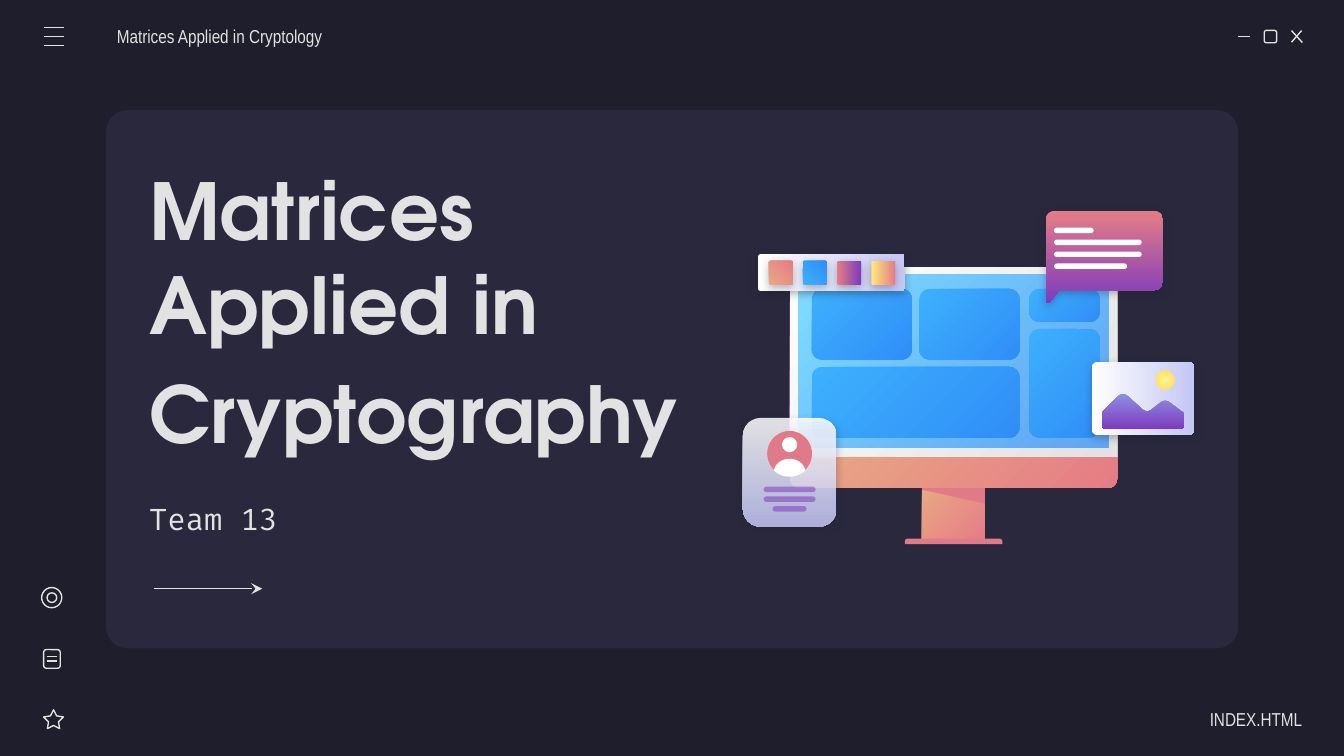
from lxml.etree import SubElement
from pptx import Presentation
from pptx.dml.color import RGBColor
from pptx.enum.shapes import MSO_CONNECTOR, MSO_SHAPE as Preset
from pptx.enum.text import MSO_ANCHOR, MSO_AUTO_SIZE, PP_ALIGN as Align
from pptx.oxml.ns import qn
from pptx.util import Pt

THEME = {
    "background": "1E1E2C", "panel": "29283D", "ink": "E2E2E2",
    "white": "FFFFFF", "rose": "E07A88", "purple": "7E3BBE",
    "peach": ("E9A984", "E57C85"), "blue": ("3DB0FD", "308EF7"),
    "screen": ("80DFFF", "318FFA"), "frame": ("FFFFFF", "E2E2E2"),
    "sunset": ("E57C85", "7E3BBE"), "gold": ("FFEA7D", "E57C85"),
    "card": ("FFFFFF", "C5C7F4"), "hills": ("8D90E1", "7E3BBE"),
    "sun": ("FFF68E", "FFD966"),
    "heading": "TeX Gyre Adventor", "mono": "Fira Code", "narrow": "Arial Narrow",
    "title_size": 42, "title_end_size": 50, "subtitle_size": 16, "label_size": 10,
}
INK = RGBColor.from_string(THEME["ink"])

presentation = Presentation()
presentation.slide_width, presentation.slide_height = Pt(720), Pt(405)
slide = presentation.slides.add_slide(presentation.slide_layouts[0])
slide.background.fill.solid()
slide.background.fill.fore_color.rgb = RGBColor.from_string(THEME["background"])
shapes = slide.shapes


def add_preset(kind, box, fill=None, radius=None, angle=45, alphas=(),
               shadow=False, rotation=0):
    """Add a preset, or a curved outline when kind is a list of steps.

    A step of two numbers is a straight line, one of six a Bezier curve.
    """
    if isinstance(kind, list):
        points = [kind[0]]
        for step in kind[1:]:
            if len(step) == 2:
                points.append(step)
                continue
            nodes = [points[-1], step[:2], step[2:4], step[4:]]
            for t in (i / 8 for i in range(1, 9)):
                weights = ((1 - t) ** 3, 3 * t * (1 - t) ** 2, 3 * t * t * (1 - t), t ** 3)
                points.append([sum(w * n[axis] for w, n in zip(weights, nodes))
                               for axis in (0, 1)])
        points = [(Pt(x), Pt(y)) for x, y in points]
        builder = shapes.build_freeform(*points[0])
        builder.add_line_segments(points[1:], close=True)
        shape = builder.convert_to_shape()
    else:
        shape = shapes.add_shape(kind, *map(Pt, box))
    if radius is not None:
        shape.adjustments[0] = radius / min(box[2:])
    shape.rotation = rotation
    properties = shape._element.spPr

    # Fill, or an outline alone
    if fill is None:
        shape.fill.background()
        shape.line.color.rgb = INK
        shape.line.width = Pt(0.75)
    elif isinstance(fill, str):
        shape.fill.solid()
        shape.fill.fore_color.rgb = RGBColor.from_string(fill)
    else:
        shape.fill.gradient()
        shape.fill.gradient_angle = 360 - angle
        for stop, color in zip(shape.fill.gradient_stops, fill):
            stop.color.rgb = RGBColor.from_string(color)
    for color, alpha in zip(list(properties.iter(qn("a:srgbClr"))), alphas):
        SubElement(color, qn("a:alpha"), val=str(alpha * 1000))
    if fill is not None:
        shape.line.fill.background()

    # Soft shadow
    shape.shadow.inherit = False
    if shadow:
        outer = SubElement(properties.find(qn("a:effectLst")), qn("a:outerShdw"),
                           blurRad=str(Pt(4.5)), dist=str(Pt(1.5)), dir="5400000",
                           algn="bl", rotWithShape="0")
        color = SubElement(outer, qn("a:srgbClr"), val=THEME["background"])
        SubElement(color, qn("a:alpha"), val="30000")
    return shape


def write(shape, box, runs, insets, align=Align.LEFT, bold=False):
    shape.left, shape.top, shape.width, shape.height = map(Pt, box)
    frame = shape.text_frame
    frame.word_wrap = True
    frame.auto_size = MSO_AUTO_SIZE.NONE
    frame.vertical_anchor = MSO_ANCHOR.MIDDLE
    frame.margin_left, frame.margin_right = map(Pt, insets)
    frame.margin_top = frame.margin_bottom = Pt(7.2)
    paragraph = frame.paragraphs[0]
    paragraph.alignment = align
    paragraph.space_before = Pt(0)
    paragraph.line_spacing = 1.0
    for text, font, size in runs:
        run = paragraph.add_run()
        run.text = text
        run.font.name, run.font.size, run.font.bold = font, Pt(size), bold
        run.font.color.rgb = INK


# Panel, sent behind the placeholders
panel = add_preset(Preset.ROUNDED_RECTANGLE, (56.8, 59, 606.5, 288.4), THEME["panel"], 11.5)
panel._element.getparent().insert(2, panel._element)

# Texts
write(shapes.title, (72.7, 103.7, 321.8, 126.7),
      [("Matrices Applied in Cryptography", THEME["heading"], THEME["title_size"]),
       (" ", THEME["narrow"], THEME["title_end_size"])], (7.2, 7.2), bold=True)
write(slide.placeholders[1], (72.7, 261.4, 233.3, 33.1),
      [("Team 13", THEME["mono"], THEME["subtitle_size"])], (7.2, 7.2))
for text, box, insets, align in [
    ("Matrices Applied in Cryptology", (62.6, 8.6, 171.4, 21.6), (0, 7.2), Align.LEFT),
    ("INDEX.HTML", (613.4, 374.4, 84.2, 21.6), (7.2, 0), Align.RIGHT),
]:
    label = shapes.add_textbox(*map(Pt, box))
    write(label, box, [(text, THEME["narrow"], THEME["label_size"])], insets, align)

# Monitor
add_preset(Preset.RECTANGLE, (493.9, 260, 33.8, 29.5), THEME["peach"])
add_preset(Preset.ROUND_2_SAME_RECTANGLE, (484.7, 288.6, 52.3, 3), THEME["rose"], 1.5)
add_preset([(493.9, 260), (493.9, 262.4), (527.7, 269.8), (527.7, 260)], None, THEME["rose"])
chin = add_preset(Preset.ROUND_2_SAME_RECTANGLE, (423.2, 244.3, 175.2, 17.1), THEME["peach"], 0)
chin.adjustments[1] = 0.27
add_preset(Preset.ROUND_2_SAME_RECTANGLE, (423.2, 143.1, 175.2, 101.7), THEME["frame"], 4.5)
add_preset(Preset.RECTANGLE, (427.7, 147.3, 166, 92.5), THEME["screen"], alphas=(100, 72))
for tile in [(434.9, 154.8, 53.6, 37.8), (434.9, 196.6, 111.2, 37.8),
             (492.5, 154.8, 53.6, 37.8), (551.3, 154.8, 37.8, 17.6),
             (551.3, 176.3, 37.8, 58.1)]:
    add_preset(Preset.ROUNDED_RECTANGLE, tile, THEME["blue"], 5.4)

# Speech bubble
add_preset([(565, 113), (562.4, 113, 560.4, 115, 560.4, 117.6), (560.4, 161.3),
            (560.4, 162.4, 561.8, 162.6, 562.5, 161.8), (567.6, 155.4), (618.4, 155.4),
            (621, 155.4, 623, 153.4, 623, 150.8), (623, 117.6),
            (623, 115, 621, 113, 618.4, 113)],
           None, THEME["sunset"], angle=90, shadow=True)
for row, width in enumerate((21.2, 46.9, 46.9, 39.1)):
    add_preset(Preset.ROUNDED_RECTANGLE, (564.7, 122 + 6.4 * row, width, 2.9),
               THEME["white"], 1.45)

# Profile card
add_preset(Preset.ROUNDED_RECTANGLE, (398, 223.9, 50.2, 58.2), THEME["card"], 9.4,
           angle=90, alphas=(86, 86), shadow=True)
add_preset(Preset.OVAL, (411, 230.9, 24, 24.2), THEME["rose"])
add_preset(Preset.OVAL, (418.9, 234.1, 8.2, 8.2), THEME["white"])
add_preset([(423, 245.8), (418.8, 245.8, 415.3, 248.4, 414.6, 252),
            (416.8, 254.2, 419.8, 255.4, 423, 255.4),
            (426.2, 255.4, 429.2, 254.2, 431.4, 252),
            (430.7, 248.4, 427.2, 245.8, 423, 245.8)], None, THEME["white"])
for row, width in enumerate((27.8, 27.8, 18.2)):
    add_preset(Preset.ROUNDED_RECTANGLE, (423 - width / 2, 260.8 + 5.2 * row, width, 2.9),
               THEME["purple"], 1.45, alphas=(54,))

# Photo card
add_preset(Preset.ROUNDED_RECTANGLE, (592.7, 186.1, 39.1, 54.7), THEME["card"], 2.85,
           angle=90, shadow=True, rotation=270)
add_preset([(601.6, 211), (600.8, 211, 600, 211.2, 599.4, 211.8), (591.2, 220),
            (590.7, 220.6, 590.4, 221.3, 590.4, 222), (590.4, 227.8),
            (590.4, 229, 591.3, 229.8, 592.4, 229.8), (632.3, 229.8),
            (633.4, 229.8, 634.3, 229, 634.3, 227.8), (634.3, 222.6),
            (634.3, 221.8, 634, 221.2, 633.5, 220.8), (626.4, 215.5),
            (625, 214.5, 623.2, 214.5, 621.8, 215.6), (616.8, 219.6),
            (615.3, 220.7, 613.4, 220.6, 612, 219.4), (603.9, 211.9),
            (603.3, 211.3, 602.5, 211, 601.6, 211)], None, THEME["hills"], angle=90)
sun = add_preset(Preset.OVAL, (619.1, 198.4, 10.3, 10.3), THEME["sun"])
gradient = sun._element.spPr.find(qn("a:gradFill"))
gradient.remove(gradient.find(qn("a:lin")))
radial = SubElement(gradient, qn("a:path"), **{"path": "circle"})
SubElement(radial, qn("a:fillToRect"), l="50000", t="50000", r="50000", b="50000")

# Swatch bar
add_preset(Preset.ROUNDED_RECTANGLE, (435.5, 106.7, 19.8, 78.6), THEME["card"], 1.4,
           angle=90, shadow=True, rotation=270)
for column, (color, angle) in enumerate([("peach", 45), ("blue", 45),
                                         ("sunset", 90), ("gold", 90)]):
    add_preset(Preset.ROUNDED_RECTANGLE, (411.9 + 18.3 * column, 139.8, 12.8, 12.8),
               THEME[color], 0.9, angle=angle, shadow=True, rotation=270)

# Outline icons: maximise, star, document, target
add_preset(Preset.ROUNDED_RECTANGLE, (677.3, 16.3, 6.6, 6.6), radius=1.1)
star = add_preset(Preset.STAR_5_POINT, (23.4, 380.3, 10.6, 10.1))
star.adjustments[0] = 0.254
add_preset(Preset.ROUNDED_RECTANGLE, (23.4, 348, 8.9, 10), radius=1.5)
add_preset(Preset.OVAL, (22.3, 314.8, 10.8, 10.8))
add_preset(Preset.OVAL, (25.2, 317.6, 5.2, 5.2))

# Lines: menu, minimise, close, document rows, arrow
for x1, y1, x2, y2 in [(23.4, 14.8, 34.2, 14.8), (23.4, 19.6, 34.2, 19.6),
                       (23.4, 24.4, 34.2, 24.4), (663, 19.6, 669.8, 19.6),
                       (691.9, 16.4, 697.7, 22.8), (697.3, 16.4, 691.9, 22.6),
                       (25.3, 351.6, 30.4, 351.6), (25.3, 354.1, 30.4, 354.1),
                       (82.4, 315.4, 140.5, 315.4)]:
    connector = shapes.add_connector(MSO_CONNECTOR.STRAIGHT, *map(Pt, (x1, y1, x2, y2)))
    connector.line.color.rgb = INK
    connector.line.width = Pt(0.75)
    SubElement(connector._element.spPr, qn("a:effectLst"))
arrow_line = connector._element.spPr.find(qn("a:ln"))
SubElement(arrow_line, qn("a:tailEnd"), type="stealth", w="med", len="med")

presentation.save("out.pptx")
